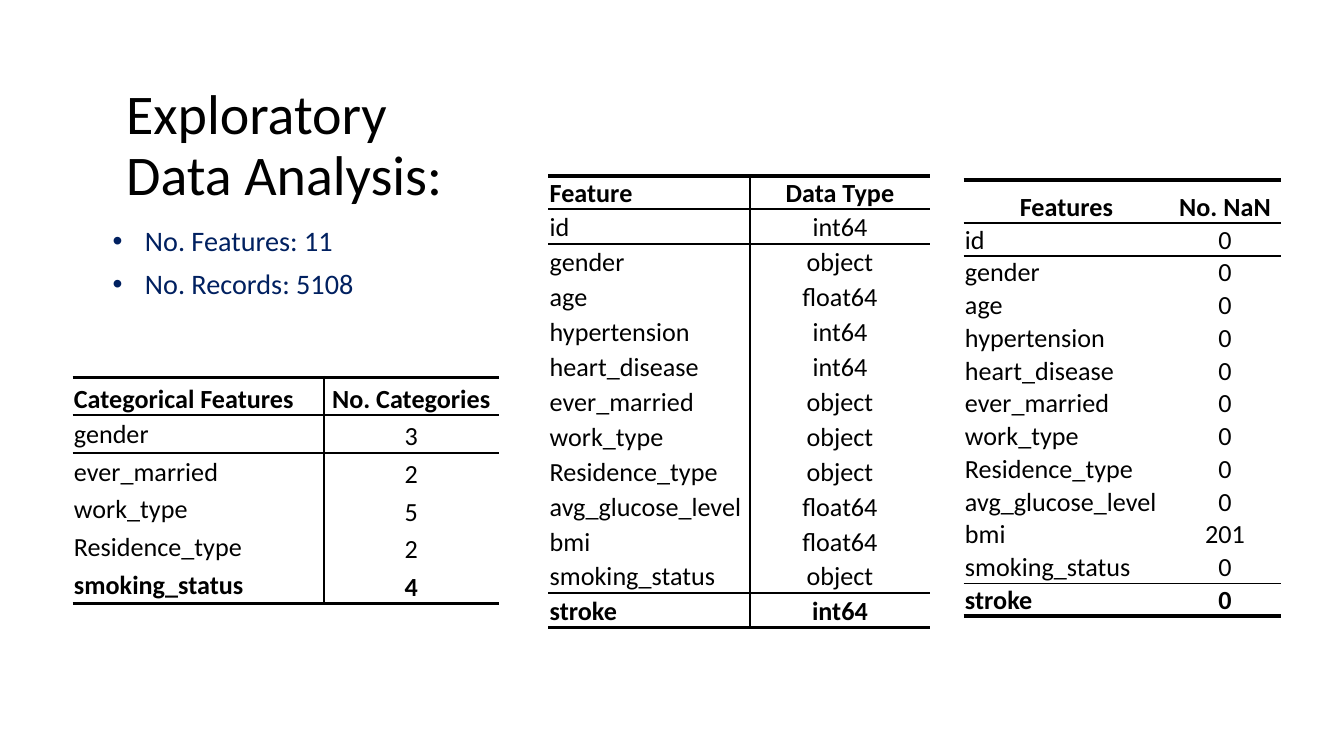
"""Build the exploratory data analysis slide with its three feature tables."""
from lxml import etree
from pptx import Presentation
from pptx.dml.color import RGBColor
from pptx.enum.text import MSO_ANCHOR, PP_ALIGN
from pptx.oxml.ns import qn
from pptx.util import Inches, Pt

LEFT, CENTER = PP_ALIGN.LEFT, PP_ALIGN.CENTER
TOP, MIDDLE, BOTTOM = MSO_ANCHOR.TOP, MSO_ANCHOR.MIDDLE, MSO_ANCHOR.BOTTOM
FONT, BLACK, WHITE, NAVY = "Calibri", "000000", "FFFFFF", "002060"
THICK, THIN = 2, 1
SLIDE_WIDTH = 10
SLIDE_HEIGHT = SLIDE_WIDTH * 9 / 16

TITLE = "Exploratory Data Analysis:"
FACTS = ["No. Features: 11", "No. Records: 5108"]
FEATURES = [
    ("id", "int64", "0"),
    ("gender", "object", "0"),
    ("age", "float64", "0"),
    ("hypertension", "int64", "0"),
    ("heart_disease", "int64", "0"),
    ("ever_married", "object", "0"),
    ("work_type", "object", "0"),
    ("Residence_type", "object", "0"),
    ("avg_glucose_level", "float64", "0"),
    ("bmi", "float64", "201"),
    ("smoking_status", "object", "0"),
    ("stroke", "int64", "0"),
]
CATEGORIES = [
    ("gender", "3"),
    ("ever_married", "2"),
    ("work_type", "5"),
    ("Residence_type", "2"),
    ("smoking_status", "4"),
]
TABLES = [
    dict(rows=[("Feature", "Data Type")] + [(name, kind) for name, kind, _ in FEATURES],
         left=4.08, top=1.31, widths=(1.5, 1.34), header_height=0.24, row_height=0.26,
         divider=True, last_rule=True),
    dict(rows=[("Categorical Features", "No. Categories")] + CATEGORIES,
         left=0.54, top=2.81, widths=(1.87, 1.3), header_height=0.28, row_height=0.28,
         divider=True, name_anchor=MIDDLE),
    dict(rows=[("Features", "No. NaN")] + [(name, missing) for name, _, missing in FEATURES],
         left=7.17, top=1.34, widths=(1.53, 0.83), header_height=0.32, row_height=0.24,
         last_rule=True, header_align=CENTER),
]


def color(value):
    return RGBColor.from_string(value)


def write(paragraph, text, size=14, ink=BLACK, bold=False, align=LEFT,
          line_spacing=None, before=0, after=0, bullet=False):
    if bullet:
        properties = paragraph._p.get_or_add_pPr()
        properties.set("marL", str(Inches(0.24)))
        properties.set("indent", str(Inches(-0.24)))
        etree.SubElement(properties, qn("a:buFont"), typeface="Arial")
        etree.SubElement(properties, qn("a:buChar"), char="•")
    paragraph.alignment = align
    paragraph.line_spacing = line_spacing
    paragraph.space_before, paragraph.space_after = Pt(before), Pt(after)
    run = paragraph.add_run()
    run.text = text
    run.font.name, run.font.size, run.font.bold = FONT, Pt(size), bold
    run.font.color.rgb = color(ink)


def add_text_frame(slide, left, top, width, height, anchor):
    box = slide.shapes.add_textbox(Inches(left), Inches(top), Inches(width), Inches(height))
    box.text_frame.word_wrap = True
    box.text_frame.vertical_anchor = anchor
    return box.text_frame


def set_borders(cell, **widths):
    properties = cell._tc.get_or_add_tcPr()
    for side in "LRTB":
        width = widths.get(side, 0)
        line = etree.SubElement(properties, qn(f"a:ln{side}"), w=str(Pt(width)))
        if width:
            fill = etree.SubElement(line, qn("a:solidFill"))
            etree.SubElement(fill, qn("a:srgbClr"), val=BLACK)
        else:
            etree.SubElement(line, qn("a:noFill"))


def add_feature_table(slide, rows, left, top, widths, header_height, row_height,
                      divider=False, last_rule=False, name_anchor=BOTTOM, header_align=LEFT):
    heights = [header_height] + [row_height] * (len(rows) - 1)
    table = slide.shapes.add_table(len(rows), len(widths), Inches(left), Inches(top),
                                   Inches(sum(widths)), Inches(sum(heights))).table
    table.first_row = table.horz_banding = False
    for column, width in zip(table.columns, widths):
        column.width = Inches(width)

    last = len(rows) - 1
    rules = {0: THICK, 1: THIN, 2: THIN, last + 1: THICK}
    if last_rule:
        rules[last] = THIN
    side_rule = THIN if divider else 0

    for row_index, values in enumerate(rows):
        table.rows[row_index].height = Inches(heights[row_index])
        for column_index, text in enumerate(values):
            cell = table.cell(row_index, column_index)
            set_borders(cell, T=rules.get(row_index, 0), B=rules.get(row_index + 1, 0),
                        **{"RL"[column_index]: side_rule})
            cell.fill.solid()
            cell.fill.fore_color.rgb = color(WHITE)
            cell.margin_left = cell.margin_right = cell.margin_top = Inches(0.01)
            cell.margin_bottom = 0
            is_name = column_index == 0
            cell.vertical_anchor = name_anchor if is_name and row_index else BOTTOM
            name_align = LEFT if row_index else header_align
            write(cell.text_frame.paragraphs[0], text, bold=row_index in (0, last),
                  align=name_align if is_name else CENTER)


def main():
    presentation = Presentation()
    presentation.slide_width = Inches(SLIDE_WIDTH)
    presentation.slide_height = Inches(SLIDE_HEIGHT)
    slide = presentation.slides.add_slide(presentation.slide_layouts[6])

    title = add_text_frame(slide, 0.84, 0.48, 2.57, 1.23, MIDDLE)
    write(title.paragraphs[0], TITLE, size=30, line_spacing=0.9)

    facts = add_text_frame(slide, 0.74, 1.64, 3.01, 0.98, TOP)
    for index, fact in enumerate(FACTS):
        paragraph = facts.add_paragraph() if index else facts.paragraphs[0]
        write(paragraph, fact, size=15.1, ink=NAVY, line_spacing=0.9,
              before=5.8 if index else 0, after=1, bullet=True)

    for table in TABLES:
        add_feature_table(slide, **table)
    presentation.save("out.pptx")


if __name__ == "__main__":
    main()
